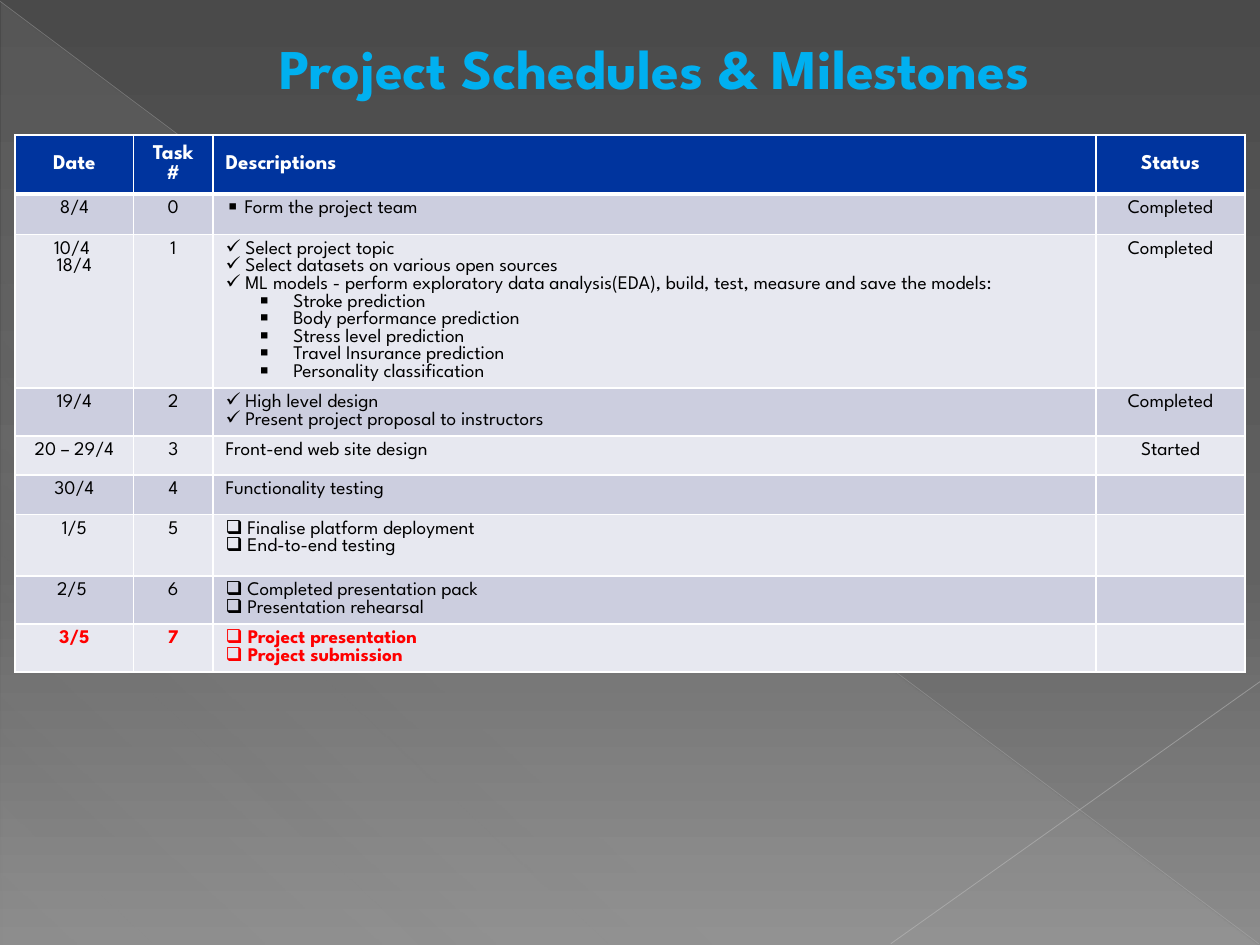
from lxml.etree import SubElement
from pptx import Presentation
from pptx.dml.color import RGBColor
from pptx.enum.shapes import MSO_CONNECTOR as Connector, MSO_SHAPE as Shape
from pptx.enum.text import MSO_ANCHOR as Anchor, PP_ALIGN as Align
from pptx.oxml.ns import qn
from pptx.util import Inches, Pt

FONT = "League Spartan"
COLORS = {
    "title": "00B0F0", "header": "00349E", "band": "CCCEDF", "plain": "E7E8F0",
    "white": "FFFFFF", "text": "000000", "alert": "FF0000",
    "triangle": "D2D2D2", "falling": "BFBFBF", "rising": "C6C6C6",
    "top": "4A4A4A", "middle": "626262", "bottom": "8C8C8C",
}
COLUMNS = [0.94, 0.63, 7.01, 1.18]
ROW_HEIGHTS = [0.47, 0.32, 1.22, 0.38, 0.31, 0.31, 0.49, 0.38, 0.38]
HEADERS = ["Date", "Task #", "Descriptions", "Status"]
TASKS = [
    (["8/4"], [("▪", "Form the project team")], "Completed"),
    (["10/4 ", "18/4"], [
        ("✓", "Select project topic"),
        ("✓", "Select datasets on various open sources"),
        ("✓", "ML models - perform exploratory data analysis(EDA), build, test, "
              "measure and save the models:"),
        ("▪▪", "Stroke prediction"),
        ("▪▪", "Body performance prediction"),
        ("▪▪", "Stress level prediction"),
        ("▪▪", "Travel Insurance prediction"),
        ("▪▪", "Personality classification"),
    ], "Completed"),
    (["19/4"], [("✓", "High level design"),
                ("✓", "Present project proposal to instructors")], "Completed"),
    (["20 – 29/4"], [("", "Front-end web site design")], "Started"),
    (["30/4"], [("", "Functionality testing")], ""),
    (["1/5"], [("❑", "Finalise platform deployment"), ("❑", "End-to-end testing")], ""),
    (["2/5 "], [("❑", "Completed presentation pack"), ("❑", "Presentation rehearsal")], ""),
    (["3/5"], [("❑", "Project presentation"), ("❑", "Project submission")], ""),
]


def rgb(name):
    return RGBColor.from_string(COLORS[name])


def add_color(parent, name, alpha=100):
    color = SubElement(parent, qn("a:srgbClr"), val=COLORS[name])
    if alpha < 100:
        SubElement(color, qn("a:alpha"), val=str(alpha * 1000))


def set_gradient(fill, element, stops, angle):
    fill.gradient()
    fill.gradient_angle = 360 - angle
    stop_list = next(element.iter(qn("a:gsLst")))
    for stop in list(stop_list):
        stop_list.remove(stop)
    for position, name, alpha in stops:
        stop = SubElement(stop_list, qn("a:gs"), pos=str(position * 1000))
        add_color(stop, name, alpha)


def add_faint_line(page, start, end, name, width, alpha):
    line = page.shapes.add_connector(
        Connector.STRAIGHT, *(Inches(value) for value in start + end))
    line.line.width = Pt(width)
    line.line.color.rgb = rgb(name)
    properties = line.element.spPr
    color = next(properties.iter(qn("a:srgbClr")))
    SubElement(color, qn("a:alpha"), val=str(alpha * 1000))
    SubElement(properties, qn("a:effectLst"))


def add_backdrop(page, left, top, width, height):
    set_gradient(page.background.fill, page.element,
                 [(0, "top", 100), (60, "middle", 100), (100, "bottom", 100)], 90)
    triangle = page.shapes.add_shape(
        Shape.RIGHT_TRIANGLE, Inches(left + 0.01), Inches(top + 0.02),
        Inches(width - 0.02), Inches(height - 0.02))
    triangle.shadow.inherit = False
    triangle.line.fill.background()
    set_gradient(triangle.fill, triangle.element,
                 [(0, "triangle", 10), (70, "triangle", 8), (100, "triangle", 1)], 133)
    right, bottom = left + width, top + height - 0.01
    add_faint_line(page, (left, top + 0.01), (right - 0.01, bottom), "falling", 0.39, 35)
    add_faint_line(page, (right, top + 5.41), (left + 7.07, bottom), "rising", 0.47, 45)


def add_run(para, text, size, color, bold):
    span = para.add_run()
    span.text = text
    span.font.name = FONT
    span.font.size = Pt(size)
    span.font.bold = bold
    span.font.color.rgb = rgb(color)


def add_bullet(para, mark):
    properties = para._p.get_or_add_pPr()
    nested = len(mark) > 1
    para.level = int(nested)
    properties.set("marL", str(Inches(0.5 if nested else 0)))
    properties.set("indent", str(Inches(-0.25 if nested else 0)))
    SubElement(properties, qn("a:buChar"), char=mark[0])


def add_borders(cell, bottom_width):
    properties = cell._tc.get_or_add_tcPr()
    for index, side in enumerate(("lnL", "lnR", "lnT", "lnB")):
        width = bottom_width if side == "lnB" else 1
        border = properties.makeelement(qn(f"a:{side}"), {"w": str(Pt(width))})
        add_color(SubElement(border, qn("a:solidFill")), "white")
        properties.insert(index, border)


def fill_cell(cell, lines, fill, size=11, color="text", bold=False, centered=True,
              border=1):
    cell.fill.solid()
    cell.fill.fore_color.rgb = rgb(fill)
    add_borders(cell, border)
    frame = cell.text_frame
    for index, (mark, text) in enumerate(lines):
        para = frame.add_paragraph() if index else frame.paragraphs[0]
        para.alignment = Align.CENTER if centered else Align.LEFT
        if mark:
            add_bullet(para, mark)
            text = " " + text
        if text:
            add_run(para, text, size, color, bold)
        else:
            SubElement(para._p, qn("a:endParaRPr"), sz=str(size * 100))


def add_schedule(page, left, top, width, height):
    table = page.shapes.add_table(
        len(TASKS) + 1, len(COLUMNS), Inches(left), Inches(top),
        Inches(width), Inches(height)).table
    table.horz_banding = False
    table.first_row = False
    for column, share in zip(table.columns, COLUMNS):
        column.width = Inches(width * share / sum(COLUMNS))
    for row, share in zip(table.rows, ROW_HEIGHTS):
        row.height = Inches(height * share / sum(ROW_HEIGHTS))
    for index, header in enumerate(HEADERS):
        cell = table.cell(0, index)
        cell.vertical_anchor = Anchor.MIDDLE
        fill_cell(cell, [("", header)], "header", 12, "white", True, index != 2, 3)
    for number, (dates, details, status) in enumerate(TASKS):
        last = number == len(TASKS) - 1
        columns = [[("", date) for date in dates], [("", str(number))],
                   details, [("", status)]]
        for index, lines in enumerate(columns):
            fill_cell(table.cell(number + 1, index), lines,
                      "plain" if number % 2 else "band",
                      color="alert" if last else "text", bold=last,
                      centered=index != 2)


def add_title(page, left, top, width, height):
    box = page.shapes.add_textbox(
        Inches(left), Inches(top), Inches(width), Inches(height))
    frame = box.text_frame
    frame.word_wrap = True
    frame.vertical_anchor = Anchor.BOTTOM
    para = frame.paragraphs[0]
    para.alignment = Align.CENTER
    add_run(para, "Project Schedules & Milestones", 32, "title", True)


def main():
    deck = Presentation()
    deck.slide_width, deck.slide_height = Inches(10), Inches(7.5)
    page = deck.slides.add_slide(deck.slide_layouts[6])
    add_backdrop(page, 0, 0, 10, 7.5)
    add_schedule(page, 0.12, 1.07, 9.76, 4.26)
    add_title(page, 1.3, 0.21, 7.8, 0.64)
    deck.save("out.pptx")


if __name__ == "__main__":
    main()
